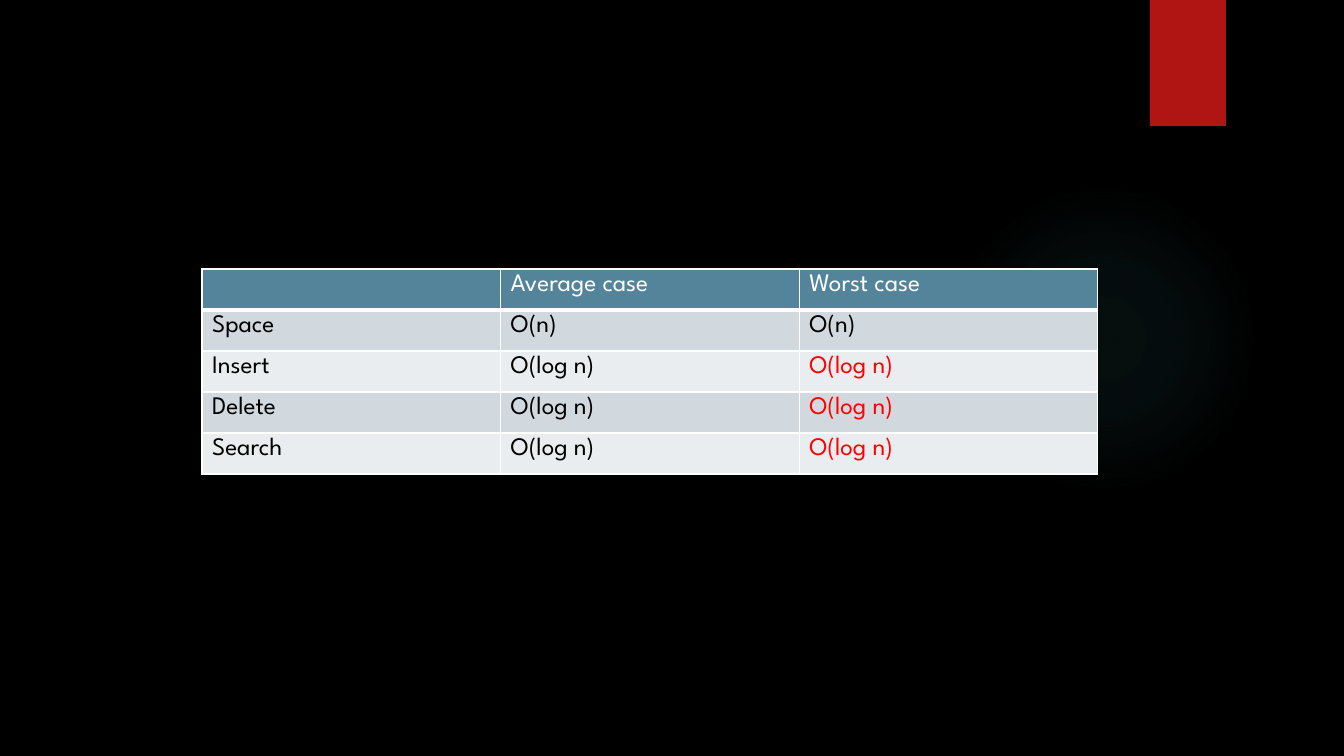
"""Build a slide with a table of average and worst case complexity."""
import lxml.etree
import pptx
import pptx.dml.color
import pptx.enum.shapes
import pptx.oxml
import pptx.oxml.ns
import pptx.util

COMPLEXITY = [
    ("", "Average case", "Worst case"),
    ("Space", "O(n)", "O(n)"),
    ("Insert", "O(log n)", "O(log n)"),
    ("Delete", "O(log n)", "O(log n)"),
    ("Search", "O(log n)", "O(log n)"),
]
COLORS = {
    "background": "000000", "glow": "50B9C1", "ribbon": "B01513",
    "header": "54849A", "odd": "D1D9DE", "even": "E9EDEF",
    "border": "FFFFFF", "header_text": "FFFFFF", "text": "000000",
    "highlight": "FF0000",
}
GLOW_STOPS = [(0, 7), (36, 6), (69, 0)]
GLOW_BOX = (949, 184, 310, 310)
RIBBON_BOX = (1150, 0, 76, 126)
TABLE_LEFT, TABLE_TOP, TABLE_WIDTH, ROW_HEIGHT = 202, 269, 896, 41
FONT, FONT_SIZE = "League Spartan", 18
EMU_PER_PIXEL = 914400 / 100.8


def px(length):
    return pptx.util.Emu(round(length * EMU_PER_PIXEL))


def rgb(name):
    return pptx.dml.color.RGBColor.from_string(COLORS[name])


def add_plain_shape(slide, kind, box):
    shape = slide.shapes.add_shape(kind, *map(px, box))
    shape.shadow.inherit = False
    shape.line.fill.background()
    return shape


def fill_with_glow(shape):
    stops = "".join(
        f'<a:gs pos="{position * 1000}"><a:srgbClr val="{COLORS["glow"]}">'
        f'<a:alpha val="{alpha * 1000}"/></a:srgbClr></a:gs>'
        for position, alpha in GLOW_STOPS)
    gradient = pptx.oxml.parse_xml(
        f'<a:gradFill {pptx.oxml.ns.nsdecls("a")}><a:gsLst>{stops}</a:gsLst>'
        '<a:path path="circle"><a:fillToRect l="50000" t="50000" r="50000" '
        'b="50000"/></a:path></a:gradFill>')
    shape.element.spPr.insert(2, gradient)


def set_borders(cell, bottom_width):
    properties = cell._tc.get_or_add_tcPr()
    widths = {"lnL": 1, "lnR": 1, "lnT": 1, "lnB": bottom_width}
    for index, (side, width) in enumerate(widths.items()):
        line = lxml.etree.Element(
            pptx.oxml.ns.qn(f"a:{side}"), w=str(pptx.util.Pt(width)))
        fill = lxml.etree.SubElement(line, pptx.oxml.ns.qn("a:solidFill"))
        lxml.etree.SubElement(
            fill, pptx.oxml.ns.qn("a:srgbClr"), val=COLORS["border"])
        properties.insert(index, line)


def text_color(row, column):
    if row == 0:
        return "header_text"
    return "highlight" if row > 1 and column == 2 else "text"


def add_complexity_table(slide):
    row_count, column_count = len(COMPLEXITY), len(COMPLEXITY[0])
    table = slide.shapes.add_table(
        row_count, column_count, px(TABLE_LEFT), px(TABLE_TOP),
        px(TABLE_WIDTH), px(ROW_HEIGHT * row_count)).table
    for column in table.columns:
        column.width = px(TABLE_WIDTH / column_count)
    for row, entries in enumerate(COMPLEXITY):
        table.rows[row].height = px(ROW_HEIGHT)
        band = "header" if row == 0 else "odd" if row % 2 else "even"
        for column, entry in enumerate(entries):
            cell = table.cell(row, column)
            cell.fill.solid()
            cell.fill.fore_color.rgb = rgb(band)
            set_borders(cell, 3 if row == 0 else 1)
            if entry:
                run = cell.text_frame.paragraphs[0].add_run()
                run.text = entry
                run.font.name = FONT
                run.font.size = pptx.util.Pt(FONT_SIZE)
                run.font.bold = False
                run.font.color.rgb = rgb(text_color(row, column))


presentation = pptx.Presentation()
presentation.slide_width, presentation.slide_height = px(1344), px(756)
slide = presentation.slides.add_slide(presentation.slide_layouts[6])
slide.background.fill.solid()
slide.background.fill.fore_color.rgb = rgb("background")

glow = add_plain_shape(slide, pptx.enum.shapes.MSO_SHAPE.OVAL, GLOW_BOX)
fill_with_glow(glow)
ribbon = add_plain_shape(
    slide, pptx.enum.shapes.MSO_SHAPE.RECTANGLE, RIBBON_BOX)
ribbon.fill.solid()
ribbon.fill.fore_color.rgb = rgb("ribbon")
add_complexity_table(slide)

presentation.save("out.pptx")
